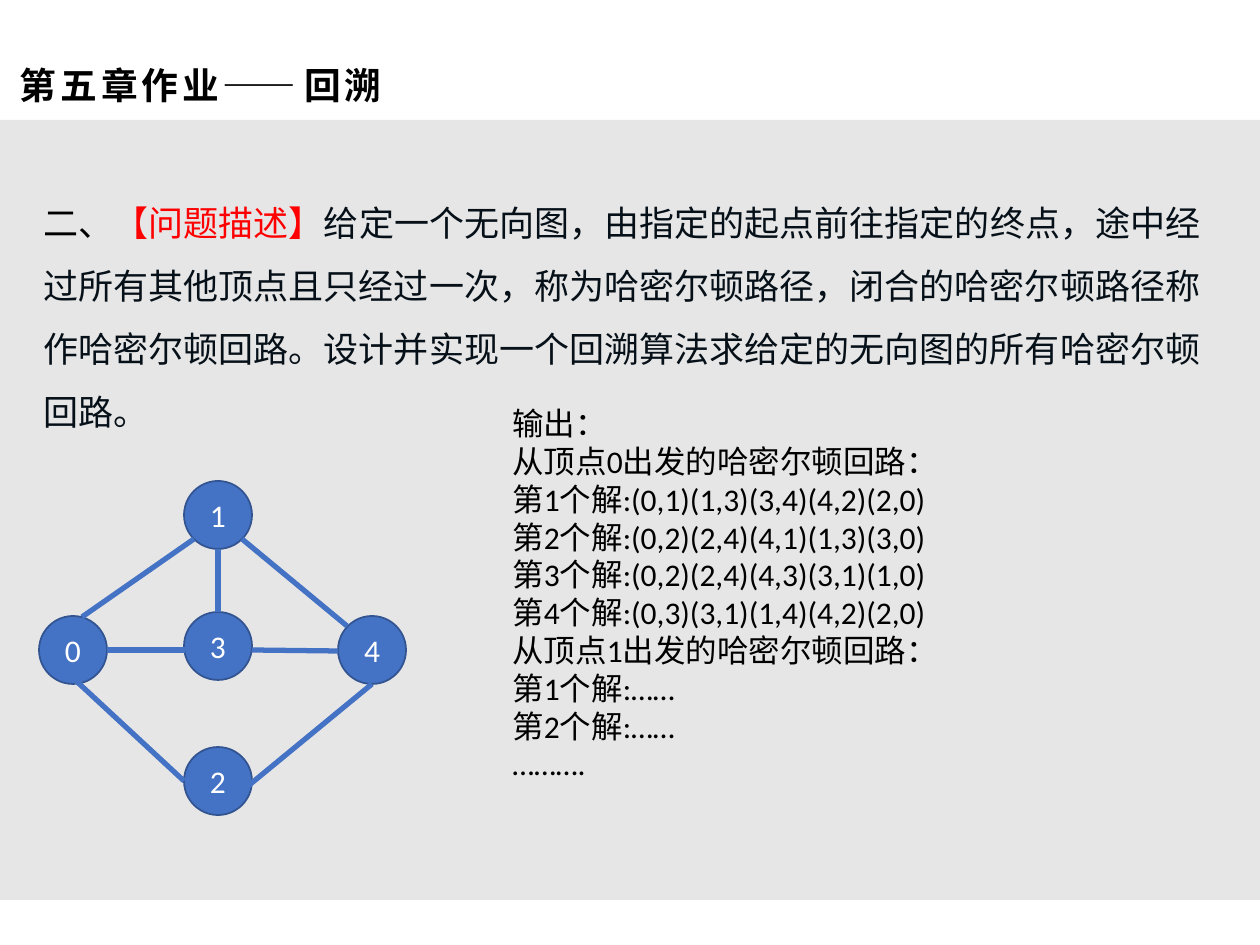
from dataclasses import dataclass

from lxml import etree
from pptx import Presentation
from pptx.dml.color import RGBColor
from pptx.enum.shapes import MSO_CONNECTOR, MSO_SHAPE
from pptx.enum.text import MSO_ANCHOR, PP_ALIGN
from pptx.oxml.ns import qn
from pptx.util import Emu, Pt

RECTANGLE, OVAL = MSO_SHAPE.RECTANGLE, MSO_SHAPE.OVAL
STRAIGHT = MSO_CONNECTOR.STRAIGHT
MIDDLE, CENTER = MSO_ANCHOR.MIDDLE, PP_ALIGN.CENTER


@dataclass(frozen=True)
class Theme:
    band: str = "E7E6E6"
    black: str = "000000"
    white: str = "FFFFFF"
    label: str = "FF0000"
    body: str = "061018"
    node: str = "4472C4"
    outline: str = "325491"
    title_size: int = 21
    problem_size: int = 20
    text_size: int = 18
    title_font: str = "Times New Roman"
    latin_font: str = "Calibri"
    chinese_font: str = "Noto Sans CJK SC"


theme = Theme()


def px(*lengths):
    return [Emu(round(length * 914400 / 126)) for length in lengths]


def style(span, size, color, font):
    span.font.size = Pt(size)
    span.font.color.rgb = RGBColor.from_string(color)
    span.font.name = font
    east_asian = etree.Element(qn("a:ea"), typeface=theme.chinese_font)
    span.font._element.find(qn("a:latin")).addnext(east_asian)


deck = Presentation()
deck.slide_width, deck.slide_height = px(1260, 945)
page = deck.slides.add_slide(deck.slide_layouts[6])

band = page.shapes.add_shape(RECTANGLE, *px(0, 120, 1260, 780))
band.shadow.inherit = False
band.fill.solid()
band.fill.fore_color.rgb = RGBColor.from_string(theme.band)
band.line.fill.background()

title = page.shapes.add_textbox(*px(11, 43, 819, 84)).text_frame
title.word_wrap = True
title.vertical_anchor = MIDDLE
title.margin_left, title.margin_right, title.margin_top, title.margin_bottom = px(9, 9, 5, 5)
title.text = "第五章作业——回溯"
span = title.paragraphs[0].runs[0]
style(span, theme.title_size, theme.black, theme.title_font)
span.font.bold = True
span.font._element.set("spc", "220")

problem = page.shapes.add_textbox(*px(31, 174, 1202, 260)).text_frame
problem.word_wrap = True
para = problem.paragraphs[0]
para.line_spacing = 1.5
for text, color in [
    ("二、", theme.black),
    ("【问题描述】", theme.label),
    ("给定一个无向图，由指定的起点前往指定的终点，途中经过所有其他顶点且只经过一次，"
     "称为哈密尔顿路径，闭合的哈密尔顿路径称作哈密尔顿回路。"
     "设计并实现一个回溯算法求给定的无向图的所有哈密尔顿回路。", theme.body),
]:
    span = para.add_run()
    span.text = text
    style(span, theme.problem_size, color, theme.chinese_font)

nodes = {"0": (39, 616), "1": (184, 481), "4": (338, 616), "3": (184, 612), "2": (184, 747)}
for name, (left, top) in nodes.items():
    node = page.shapes.add_shape(OVAL, *px(left, top, 68, 68))
    node.shadow.inherit = False
    node.fill.solid()
    node.fill.fore_color.rgb = RGBColor.from_string(theme.node)
    node.line.color.rgb = RGBColor.from_string(theme.outline)
    node.line.width = Pt(1)
    node.text_frame.text = name
    node.text_frame.vertical_anchor = MIDDLE
    para = node.text_frame.paragraphs[0]
    para.alignment = CENTER
    style(para.runs[0], theme.text_size, theme.white, theme.latin_font)

edges = [
    (194, 539, 82, 617),
    (107, 650, 185, 650),
    (252, 650, 338, 651),
    (184, 781, 73, 678),
    (372, 684, 242, 791),
    (218, 549, 218, 612),
    (242, 539, 347, 626),
]
for ends in edges:
    edge = page.shapes.add_connector(STRAIGHT, *px(*ends))
    edge.line.color.rgb = RGBColor.from_string(theme.node)
    edge.line.width = Pt(3)
    etree.SubElement(edge._element.spPr, qn("a:effectLst"))

output = page.shapes.add_textbox(*px(500, 398, 653, 471)).text_frame
output.word_wrap = True
output.text = "\n".join([
    "输出：",
    "从顶点0出发的哈密尔顿回路：",
    "第1个解:(0,1)(1,3)(3,4)(4,2)(2,0)",
    "第2个解:(0,2)(2,4)(4,1)(1,3)(3,0)",
    "第3个解:(0,2)(2,4)(4,3)(3,1)(1,0)",
    "第4个解:(0,3)(3,1)(1,4)(4,2)(2,0)",
    "从顶点1出发的哈密尔顿回路：",
    "第1个解:……",
    "第2个解:……",
    "……….",
])
for para in output.paragraphs:
    style(para.runs[0], theme.text_size, theme.black, theme.latin_font)

deck.save("out.pptx")
